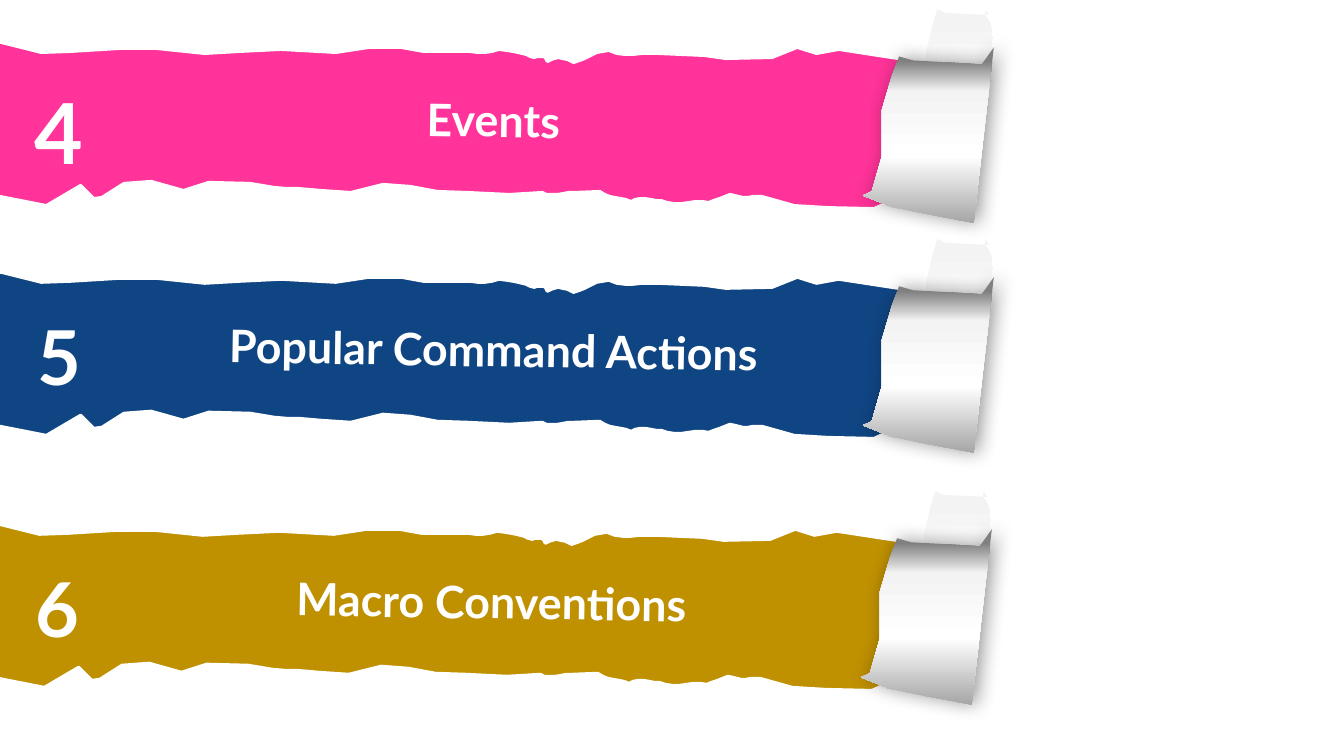
"""Build a slide with three torn-paper banners, each with a number and a topic."""
from lxml.etree import SubElement
from pptx import Presentation
from pptx.dml.color import RGBColor
from pptx.enum.text import MSO_AUTO_SIZE, PP_ALIGN
from pptx.oxml.ns import qn
from pptx.util import Pt

WHITE = RGBColor(0xFF, 0xFF, 0xFF)
BLACK = RGBColor(0, 0, 0)
PINK = RGBColor(0xFF, 0x33, 0x99)
BLUE = RGBColor(0x10, 0x45, 0x83)
GOLD = RGBColor(0xBF, 0x90, 0x00)
PALE = RGBColor(0xF3, 0xF3, 0xF3)
SILVER = RGBColor(0xA6, 0xA6, 0xA6)
GREY = RGBColor(0x80, 0x80, 0x80)

FONT = "Lato"
UNIT = 0.72
CURVE_STEPS = 6

FLAP_STOPS = [(8, PALE), (62, WHITE), (100, SILVER)]
CURL_STOPS = [(8, GREY), (25, PALE), (62, WHITE), (100, SILVER)]

# Outlines are in units of 0.72 pt: a pair is a corner, six numbers a Bezier curve.
BAND = [
    (-5, 194), (46, 204), (80, 184), (93, 197), (101, 196), (123, 182),
    (150, 180), (182, 189), (207, 181), (248, 182),
    (273, 187, 295, 187, 318, 189), (348, 191), (380, 183), (407, 185),
    (434, 190), (464, 191), (505, 193), (538, 191),
    (546, 196, 559, 191, 570, 191), (595, 190),
    (604, 197, 616, 196, 626, 200), (634, 194, 646, 199, 656, 199),
    (668, 205, 683, 200, 697, 200), (708, 204, 720, 190, 729, 194),
    (736, 197, 747, 195, 756, 195), (788, 204), (821, 206), (867, 207),
    (878, 202), (884, 189), (895, 133), (894, 98), (901, 66), (904, 60),
    (832, 49), (810, 53), (791, 47), (766, 57), (720, 58), (699, 55),
    (653, 53), (637, 52, 619, 57, 604, 50), (591, 50, 580, 59, 569, 62),
    (557, 54, 550, 58, 543, 61), (540, 51, 534, 59, 526, 56),
    (517, 52, 513, 51, 495, 49), (480, 55, 467, 50, 452, 51), (420, 51),
    (398, 47), (366, 47), (333, 52), (279, 49), (238, 51), (203, 53),
    (155, 48), (119, 48), (70, 51), (41, 52), (1, 42), (-18, 43),
    (-10, 84), (-17, 162),
]
FLAP = [
    (906, 122), (923, 131), (948, 137), (974, 144),
    (978, 108, 984, 59, 985, 37), (985, 14, 974, 19, 978, 10), (981, 15),
    (961, 14), (938, 13), (930, 9), (925, 25), (919, 53), (918, 90),
    (912, 119),
]
CURL = [
    (856, 194), (884, 205), (923, 213), (966, 221), (981, 90), (986, 47),
    (974, 64), (943, 62), (906, 60), (892, 56), (885, 75), (875, 109),
    (875, 155), (865, 190),
]

BANNERS = [
    ("4", 60, "Events", PINK, 0, 0),
    ("5", 54, "Popular Command Actions", BLUE, 0, 228),
    ("6", 54, "Macro Conventions", GOLD, -2, 478),
]


def flatten(outline):
    """Return the corners of an outline, with its curves cut into short lines."""
    points = [outline[0]]
    for seg in outline[1:]:
        if len(seg) == 2:
            points.append(seg)
            continue
        ctrl = [points[-1], seg[:2], seg[2:4], seg[4:]]
        for step in range(1, CURVE_STEPS + 1):
            t = step / CURVE_STEPS
            weights = ((1 - t) ** 3, 3 * t * (1 - t) ** 2, 3 * t * t * (1 - t), t ** 3)
            points.append(tuple(sum(w * c[axis] for w, c in zip(weights, ctrl))
                                for axis in (0, 1)))
    return points


def add_outline(slide, outline, dx, dy):
    """Draw a closed outline moved by dx and dy units."""
    points = flatten(outline)
    builder = slide.shapes.build_freeform(*points[0], scale=Pt(UNIT))
    builder.add_line_segments(points[1:], close=True)
    sp = builder.convert_to_shape(Pt(dx * UNIT), Pt(dy * UNIT))
    sp.shadow.inherit = False
    return sp


def add_band(slide, color, dx, dy):
    """Draw the coloured torn strip."""
    sp = add_outline(slide, BAND, dx, dy)
    sp.fill.solid()
    sp.fill.fore_color.rgb = color
    sp.line.color.rgb = WHITE
    sp.line.width = Pt(2.25)


def add_paper(slide, outline, stops, dx, dy):
    """Draw a piece of rolled paper with a top-to-bottom gradient."""
    sp = add_outline(slide, outline, dx, dy)
    sp.line.fill.background()
    sp.fill.gradient()
    sp.fill.gradient_angle = 270
    stop_list = sp._element.spPr.find(".//" + qn("a:gsLst"))
    for old in list(stop_list):
        stop_list.remove(old)
    for pos, color in stops:
        stop = SubElement(stop_list, qn("a:gs"), pos=str(pos * 1000))
        SubElement(stop, qn("a:srgbClr"), val=str(color))
    return sp


def add_soft_shadow(sp):
    """Give a shape a blurred shadow on its right side."""
    effects = sp._element.spPr.find(qn("a:effectLst"))
    shadow = SubElement(effects, qn("a:outerShdw"), blurRad=str(Pt(14)),
                        dist=str(Pt(3)), dir="0", algn="l", rotWithShape="0")
    color = SubElement(shadow, qn("a:srgbClr"), val=str(BLACK))
    SubElement(color, qn("a:alpha"), val="40000")


def add_label(slide, text, size, left, top, width, height, rotation=0):
    """Add a centred bold white label."""
    box = slide.shapes.add_textbox(Pt(left), Pt(top), Pt(width), Pt(height))
    box.rotation = rotation
    tf = box.text_frame
    tf.word_wrap = True
    tf.auto_size = MSO_AUTO_SIZE.SHAPE_TO_FIT_TEXT
    p = tf.paragraphs[0]
    p.alignment = PP_ALIGN.CENTER
    r = p.add_run()
    r.text = text
    r.font.name = FONT
    r.font.size = Pt(size)
    r.font.bold = True
    r.font.color.rgb = WHITE


def add_banner(slide, number, number_size, topic, color, dx, dy):
    """Add one banner: strip, rolled paper, number and topic."""
    add_band(slide, color, dx, dy)
    add_paper(slide, FLAP, FLAP_STOPS, dx, dy)
    add_soft_shadow(add_paper(slide, CURL, CURL_STOPS, dx, dy))
    x, y = dx * UNIT, dy * UNIT
    add_label(slide, number, number_size, 16.6 + x, 54 + y, 51, number_size * 1.34)
    add_label(slide, topic, 32, 89.3 + x, 62.6 + y, 526.3, 46, rotation=1)


def main():
    """Build and save the slide."""
    prs = Presentation()
    prs.slide_width, prs.slide_height = Pt(960), Pt(540)
    slide = prs.slides.add_slide(prs.slide_layouts[6])
    for banner in BANNERS:
        add_banner(slide, *banner)
    prs.save("out.pptx")


if __name__ == "__main__":
    main()
